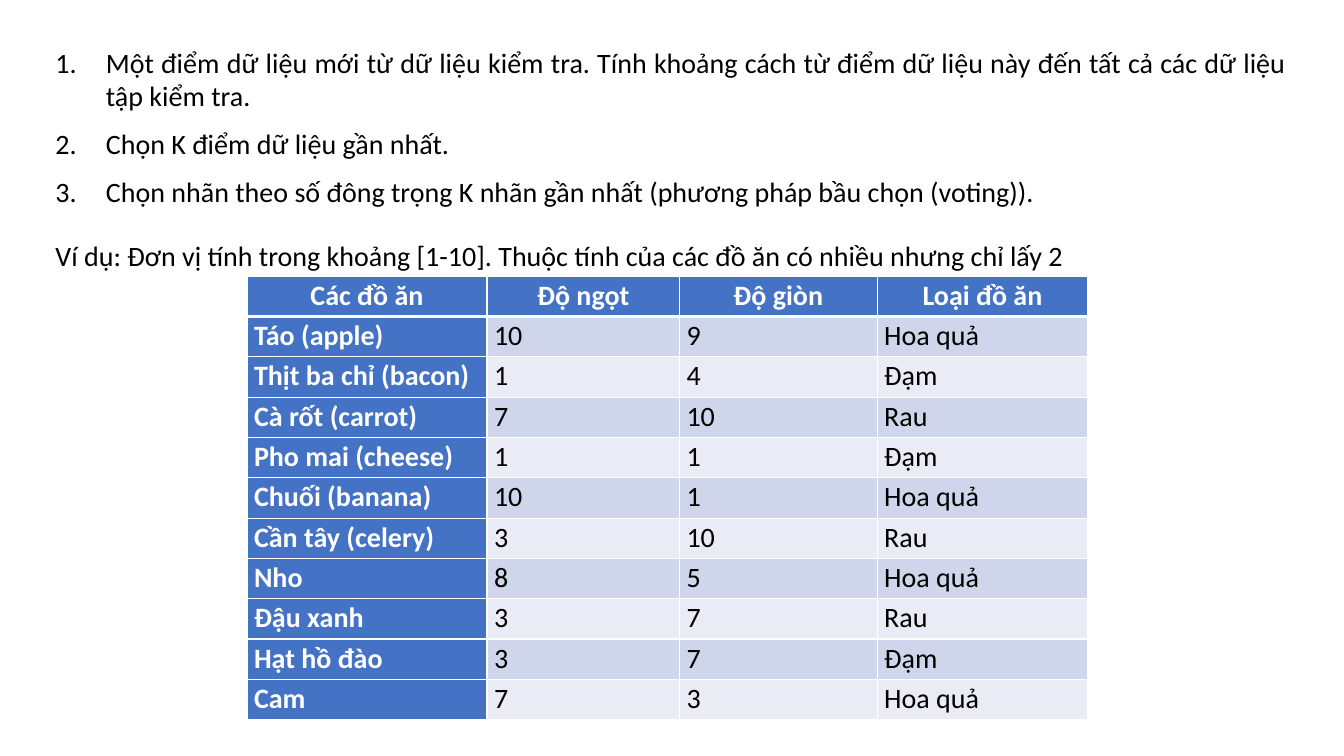
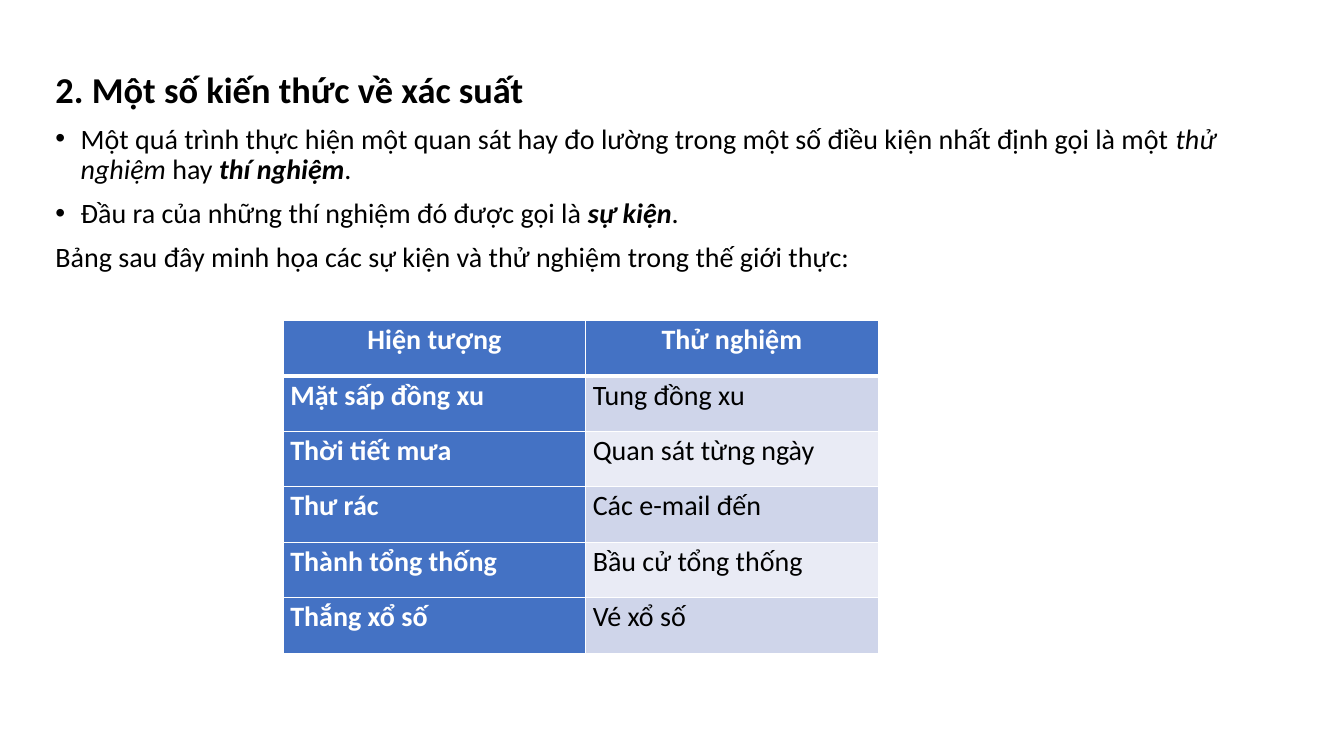
from lxml import etree
from pptx import Presentation
from pptx.dml.color import RGBColor
from pptx.enum.text import MSO_ANCHOR, MSO_AUTO_SIZE, PP_ALIGN
from pptx.oxml.ns import qn
from pptx.util import Inches, Pt

CENTER, JUSTIFY, LEFT = PP_ALIGN.CENTER, PP_ALIGN.JUSTIFY, PP_ALIGN.LEFT
TOP = MSO_ANCHOR.TOP
NO_AUTOFIT = MSO_AUTO_SIZE.NONE

COLORS = {
    "text": "000000",
    "header": "4472C4",
    "header_text": "FFFFFF",
    "border": "FFFFFF",
    "band_dark": "CFD5EA",
    "band_light": "E9EBF5",
}
FONT = "Calibri"
TEXT_SIZE = 20
HEADING_SIZE = 26
TITLE_AND_CONTENT = 1
BODY_BOX = (0.45, 0.4, 12.41, 7.05)
CELL_MARGIN = 0.07

# Marker kind: hanging indent in inches, XML tag, tag attributes
MARKERS = {
    "none": (0, "a:buNone", {}),
    "number": (0.5, "a:buAutoNum", {"type": "arabicPeriod"}),
    "bullet": (0.25, "a:buChar", {"char": "•"}),
}

FOOD_ROWS = [
    ("Các đồ ăn", "Độ ngọt", "Độ giòn", "Loại đồ ăn"),
    ("Táo (apple)", "10", "9", "Hoa quả"),
    ("Thịt ba chỉ (bacon)", "1", "4", "Đạm"),
    ("Cà rốt (carrot)", "7", "10", "Rau"),
    ("Pho mai (cheese)", "1", "1", "Đạm"),
    ("Chuối (banana)", "10", "1", "Hoa quả"),
    ("Cần tây (celery)", "3", "10", "Rau"),
    ("Nho", "8", "5", "Hoa quả"),
    ("Đậu xanh", "3", "7", "Rau"),
    ("Hạt hồ đào", "3", "7", "Đạm"),
    ("Cam", "7", "3", "Hoa quả"),
]
EXPERIMENT_ROWS = [
    ("Hiện tượng", "Thử nghiệm"),
    ("Mặt sấp đồng xu", "Tung đồng xu"),
    ("Thời tiết mưa", "Quan sát từng ngày"),
    ("Thư rác", "Các e-mail đến"),
    ("Thành tổng thống", "Bầu cử tổng thống"),
    ("Thắng xổ số", "Vé xổ số"),
]


def rgb(name):
    return RGBColor.from_string(COLORS[name])


def set_font(font, color, size=TEXT_SIZE, bold=None):
    font.name = FONT
    font.size = Pt(size)
    font.color.rgb = rgb(color)
    font.bold = bold


def set_marker(paragraph, kind):
    indent, tag, attributes = MARKERS[kind]
    properties = paragraph._p.get_or_add_pPr()
    properties.set("marL", str(Inches(indent)))
    properties.set("indent", str(-Inches(indent)))
    if kind == "bullet":
        etree.SubElement(properties, qn("a:buFont"), typeface="Arial")
    etree.SubElement(properties, qn(tag), attributes)


def add_body_slide(presentation):
    """Add a slide without a title and return it with its body text frame."""
    slide = presentation.slides.add_slide(presentation.slide_layouts[TITLE_AND_CONTENT])
    title = slide.shapes.title
    title._element.getparent().remove(title._element)
    body = slide.placeholders[1]
    body.left, body.top, body.width, body.height = map(Inches, BODY_BOX)
    text_frame = body.text_frame
    text_frame.word_wrap = True
    text_frame.auto_size = NO_AUTOFIT
    text_frame.vertical_anchor = TOP
    return slide, text_frame


def add_paragraph(text_frame, parts, marker="none", spacing=1.0,
                  alignment=LEFT, size=TEXT_SIZE, bold=None):
    """Write parts, each a plain string or (text, bold, italic), as one paragraph."""
    first = text_frame.paragraphs[0]
    paragraph = text_frame.add_paragraph() if first.runs else first
    paragraph.alignment = alignment
    paragraph.line_spacing = spacing
    paragraph.space_before = Pt(10)
    set_marker(paragraph, marker)
    set_font(paragraph.font, "text", size, bold)
    for part in parts:
        run = paragraph.add_run()
        if isinstance(part, str):
            run.text = part
        else:
            run.text, run.font.bold, run.font.italic = part


def set_borders(cell, widths):
    properties = cell._tc.get_or_add_tcPr()
    for side, width in widths.items():
        line = etree.SubElement(properties, qn(f"a:ln{side}"), w=str(Pt(width)))
        fill = etree.SubElement(line, qn("a:solidFill"))
        etree.SubElement(fill, qn("a:srgbClr"), val=COLORS["border"])


def format_cell(cell, text, row, column):
    set_borders(cell, {"L": 1, "R": 1, "T": 3 if row == 1 else 1, "B": 3 if row == 0 else 1})
    is_header = row == 0 or column == 0
    band = "band_dark" if row % 2 else "band_light"
    cell.fill.solid()
    cell.fill.fore_color.rgb = rgb("header" if is_header else band)
    cell.margin_left = cell.margin_right = Inches(CELL_MARGIN)
    cell.margin_top = cell.margin_bottom = 0
    cell.text = text
    paragraph = cell.text_frame.paragraphs[0]
    paragraph.alignment = CENTER if row == 0 else JUSTIFY
    paragraph.line_spacing = 1.07
    paragraph.space_before = Pt(6)
    set_font(paragraph.font, "header_text" if is_header else "text", bold=is_header)


def add_table(slide, rows, left, top, column_widths, row_height):
    frame = slide.shapes.add_table(
        len(rows), len(column_widths), Inches(left), Inches(top),
        Inches(sum(column_widths)), Inches(row_height * len(rows)))
    table = frame.table
    table.first_col = True
    for column, width in zip(table.columns, column_widths):
        column.width = Inches(width)
    for row_index, texts in enumerate(rows):
        table.rows[row_index].height = Inches(row_height)
        for column_index, text in enumerate(texts):
            format_cell(table.cell(row_index, column_index), text, row_index, column_index)


def add_neighbours_slide(presentation):
    slide, body = add_body_slide(presentation)
    steps = [
        "Một điểm dữ liệu mới từ dữ liệu kiểm tra. Tính khoảng cách từ điểm dữ liệu này "
        "đến tất cả các dữ liệu tập kiểm tra.",
        "Chọn K điểm dữ liệu gần nhất.",
        "Chọn nhãn theo số đông trọng K nhãn gần nhất (phương pháp bầu chọn (voting)).",
    ]
    for step in steps:
        add_paragraph(body, [step], "number", alignment=JUSTIFY)
    add_paragraph(
        body,
        ["Ví dụ: Đơn vị tính trong khoảng [1-10]. Thuộc tính của các đồ ăn có nhiều "
         "nhưng chỉ lấy 2"],
        spacing=1.5, alignment=JUSTIFY)
    add_table(slide, FOOD_ROWS, 2.45, 2.74, (2.38, 1.91, 1.96, 2.09), 0.4)


def add_probability_slide(presentation):
    slide, body = add_body_slide(presentation)
    add_paragraph(body, ["2. Một số kiến thức về xác suất"], spacing=1.5,
                  alignment=JUSTIFY, size=HEADING_SIZE, bold=True)
    definitions = [
        ["Một quá trình thực hiện một quan sát hay đo lường trong một số điều kiện "
         "nhất định gọi là một ",
         ("thử nghiệm", False, True), " hay ", ("thí nghiệm", True, True), "."],
        ["Đầu ra của những thí nghiệm đó được gọi là ", ("sự kiện", True, True), "."],
    ]
    for definition in definitions:
        add_paragraph(body, definition, "bullet", spacing=0.9)
    add_paragraph(
        body, ["Bảng sau đây minh họa các sự kiện và thử nghiệm trong thế giới thực:"],
        spacing=0.9)
    add_table(slide, EXPERIMENT_ROWS, 2.81, 3.18, (3, 2.9), 0.55)


def main():
    presentation = Presentation()
    presentation.slide_width = Inches(13.33)
    presentation.slide_height = Inches(7.5)
    add_neighbours_slide(presentation)
    add_probability_slide(presentation)
    presentation.save("out.pptx")


if __name__ == "__main__":
    main()
